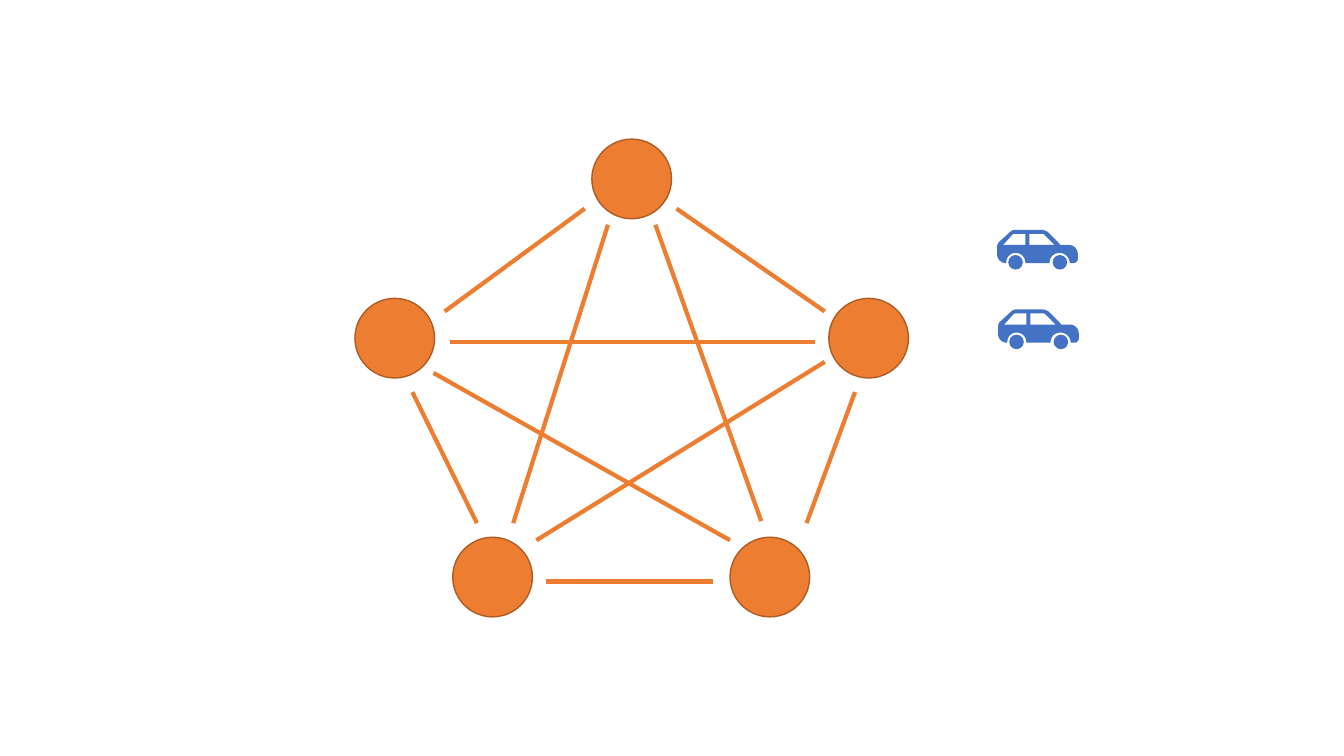
import pptx
import pptx.dml.color
import pptx.enum.shapes
import pptx.oxml.ns
import pptx.util
from lxml import etree

Inches = pptx.util.Inches
Pt = pptx.util.Pt
SHAPES = pptx.enum.shapes.MSO_SHAPE

ORANGE = pptx.dml.color.RGBColor(0xED, 0x7D, 0x31)
DARK_ORANGE = pptx.dml.color.RGBColor(0xAF, 0x5C, 0x24)
BLUE = pptx.dml.color.RGBColor(0x44, 0x72, 0xC4)

# Network: left and top of each node, then both ends of each link
NODE_SIZE = 0.79
NODES = [(5.87, 1.38), (3.52, 2.96), (4.49, 5.33), (7.24, 5.33), (8.22, 2.96)]
LINKS = [
    ((6.71, 2.07), (8.18, 3.09)),
    ((6.5, 2.23), (7.55, 5.17)),
    ((4.09, 3.89), (4.73, 5.19)),
    ((5.8, 2.07), (4.41, 3.09)),
    ((4.46, 3.39), (8.08, 3.39)),
    ((8.48, 3.89), (8, 5.19)),
    ((6.03, 2.23), (5.09, 5.19)),
    ((5.42, 5.77), (7.07, 5.77)),
    ((4.3, 3.7), (7.24, 5.36)),
    ((5.32, 5.36), (8.18, 3.59)),
]

# Car in hundredths of an inch: two numbers make a line, six make a curve
CARS = [(9.9, 3.07), (9.89, 2.28)]
WHEEL_SIZE = 14.5
WHEELS = [(11, 25), (55, 25)]
BODY = [
    (71, 15), (63, 15), (62, 15, 62, 14, 61, 13), (50, 2),
    (48, 1, 46, 0, 44, 0), (18, 0), (16, 0, 14, 1, 13, 2), (1, 13),
    (1, 14, 0, 15, 0, 16), (0, 25), (0, 29, 4, 33, 8, 33), (9, 33),
    (9, 27, 13, 23, 18, 23), (24, 23, 28, 27, 28, 33), (52, 33),
    (52, 27, 56, 23, 62, 23), (67, 23, 72, 27, 72, 33), (76, 33),
    (78, 33, 80, 31, 80, 29), (80, 24), (80, 19, 76, 15, 71, 15),
]
FRONT_WINDOW = [(32, 15), (32, 4), (44, 4), (45, 4, 46, 4, 47, 5), (57, 15)]
REAR_WINDOW = [(28, 15), (6, 15), (15, 5), (16, 4, 17, 4, 18, 4), (28, 4)]
CURVE_STEPS = 8


def style(shape, fill, line=None):
    shape.shadow.inherit = False
    shape.fill.solid()
    shape.fill.fore_color.rgb = fill
    if line is None:
        shape.line.fill.background()
    else:
        shape.line.color.rgb = line
        shape.line.width = Pt(1)


def add_circle(slide, left, top, size, fill, line=None):
    circle = slide.shapes.add_shape(
        SHAPES.OVAL, Inches(left), Inches(top), Inches(size), Inches(size))
    style(circle, fill, line)


def add_link(slide, start, end):
    ends = [Inches(value) for value in start + end]
    link = slide.shapes.add_connector(
        pptx.enum.shapes.MSO_CONNECTOR.STRAIGHT, *ends)
    link.line.color.rgb = ORANGE
    link.line.width = Pt(3)
    etree.SubElement(link.element.spPr, pptx.oxml.ns.qn("a:effectLst"))


def flatten(outline):
    """Turn lines and cubic curves into points in EMU."""
    points = []
    for segment in outline:
        if len(segment) == 2:
            points.append(segment)
            continue
        knots = [points[-1], segment[:2], segment[2:4], segment[4:]]
        for step in range(1, CURVE_STEPS + 1):
            t = step / CURVE_STEPS
            weights = ((1 - t) ** 3, 3 * t * (1 - t) ** 2, 3 * t * t * (1 - t), t ** 3)
            points.append(tuple(
                sum(weight * knot[axis] for weight, knot in zip(weights, knots))
                for axis in (0, 1)))
    return [(Inches(x / 100), Inches(y / 100)) for x, y in points]


def add_car(slide, left, top):
    for x, y in WHEELS:
        add_circle(slide, left + x / 100, top + y / 100, WHEEL_SIZE / 100, BLUE)
    body = flatten(BODY)
    builder = slide.shapes.build_freeform(*body[0], scale=1.0)
    builder.add_line_segments(body[1:], close=True)
    for window in (flatten(FRONT_WINDOW), flatten(REAR_WINDOW)):
        builder.move_to(*window[0])
        builder.add_line_segments(window[1:], close=True)
    style(builder.convert_to_shape(Inches(left), Inches(top)), BLUE)


def main():
    presentation = pptx.Presentation()
    presentation.slide_width = Inches(13.33)
    presentation.slide_height = Inches(7.5)
    slide = presentation.slides.add_slide(presentation.slide_layouts[6])

    # Network
    for left, top in NODES:
        add_circle(slide, left, top, NODE_SIZE, ORANGE, DARK_ORANGE)
    for start, end in LINKS:
        add_link(slide, start, end)

    # Cars
    for left, top in CARS:
        add_car(slide, left, top)

    presentation.save("out.pptx")


if __name__ == "__main__":
    main()
